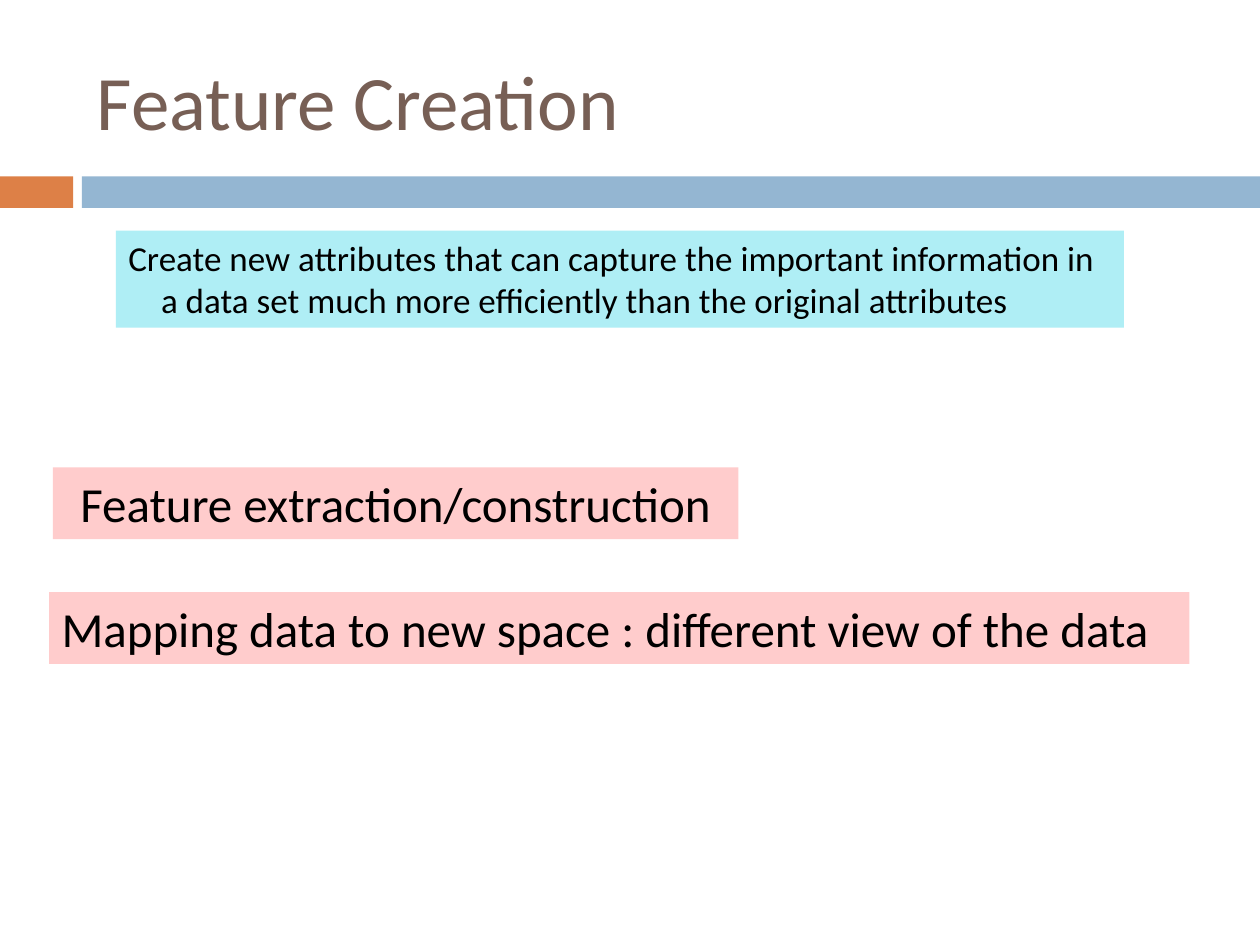
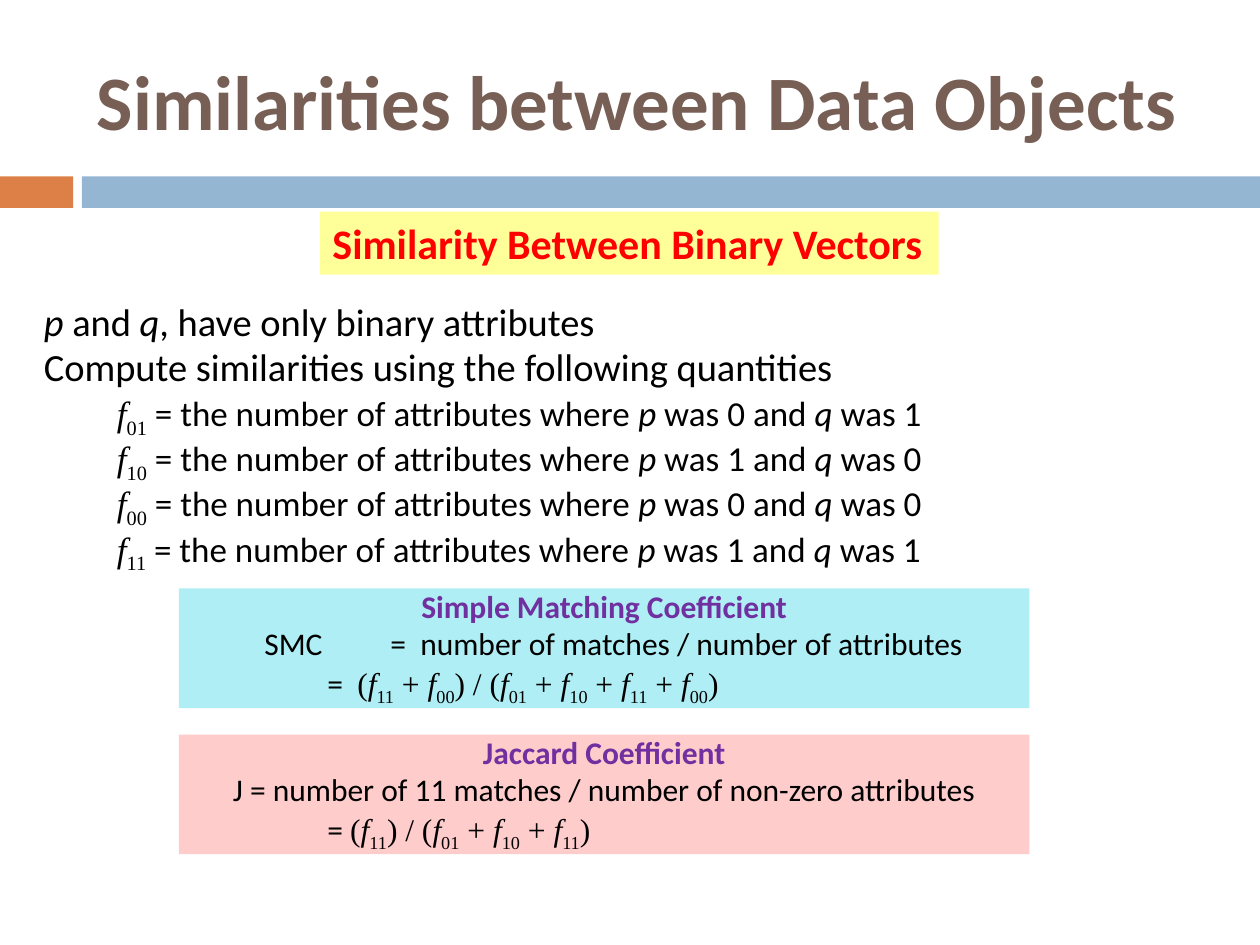
from itertools import groupby

from lxml.etree import SubElement
from pptx import Presentation
from pptx.dml.color import RGBColor
from pptx.enum.shapes import MSO_SHAPE
from pptx.enum.text import MSO_ANCHOR, PP_ALIGN
from pptx.oxml.ns import qn
from pptx.util import Inches, Pt

W, H = 10, 7.5
SANS, SERIF = "Calibri", "Times New Roman"
BLACK, BROWN, RED, PURPLE = "000000", "775F55", "FF0000", "7030A0"
ORANGE, BLUE = "DD8047", "94B6D2"
AQUA, PINK, YELLOW = "AFEEF5", "FFCCCC", "FFFF99"
BANDS = [(0, 0.58, ORANGE), (0.65, W - 0.65, BLUE)]
TABS = (1, 1.5)
HANG = 0.58

CREATION = [
    ((0.92, 1.83, 8, 0.77), AQUA,
     "Create new attributes that can capture the important information in "
     "a data set much more efficiently than the original attributes",
     dict(size=20, hang=0.26)),
    ((0.42, 3.71, 5.44, 0.57), PINK, "Feature extraction/construction",
     dict(size=28, align=PP_ALIGN.CENTER)),
    ((0.39, 4.7, 9.05, 0.57), PINK,
     "Mapping data to new space : different view of the data",
     dict(size=28, wrap=False)),
]

INTRO = ["*p* and *q*, have only binary attributes",
         "Compute similarities using the following quantities"]
COUNTS = [(0, 1), (1, 0), (0, 0), (1, 1)]
COUNT_LINE = "\t$*f*_{0}{1}_$ = the number of attributes where *p* was {0} and *q* was {1}"

COEFFICIENTS = [
    (AQUA, "Simple Matching Coefficient",
     "\tSMC \t=  number of matches / number of attributes", PP_ALIGN.LEFT,
     "\t\t=  $(*f*_11_ + *f*_00_) / (*f*_01_ + *f*_10_ + *f*_11_ + *f*_00_)$"),
    (PINK, "Jaccard Coefficient",
     "J = number of 11 matches / number of non-zero attributes", PP_ALIGN.CENTER,
     "\t\t= $(*f*_11_) / (*f*_01_ + *f*_10_ + *f*_11_)$"),
]


def rgb(color):
    return RGBColor.from_string(color)


def styled_pieces(text):
    """Split text into styled pieces: * is italic, _ is subscript, $ is serif."""
    state = {"*": False, "_": False, "$": False}
    chars = []
    for ch in text:
        if ch in state:
            state[ch] = not state[ch]
        else:
            chars.append((tuple(state.values()), ch))
    for style, group in groupby(chars, key=lambda item: item[0]):
        yield style, "".join(ch for _, ch in group)


def write(tf, text, size=20, color=BLACK, bold=False, align=PP_ALIGN.LEFT,
          hang=0, formula=False, wrap=True, anchor=MSO_ANCHOR.TOP):
    tf.word_wrap = wrap
    tf.vertical_anchor = anchor
    p = tf.paragraphs[0] if not tf.text else tf.add_paragraph()
    p.alignment = align
    if formula:
        hang = HANG
        p.line_spacing = 0.8
        p.space_before = Pt(size * 0.2)
    if hang:
        pPr = p._p.get_or_add_pPr()
        pPr.set("marL", str(Inches(hang)))
        pPr.set("indent", str(-Inches(hang)))
        if formula:
            tabs = SubElement(pPr, qn("a:tabLst"))
            for pos in TABS:
                SubElement(tabs, qn("a:tab"), pos=str(Inches(pos)), algn="l")
    for (italic, sub, serif), piece in styled_pieces(text):
        r = p.add_run()
        r.text = piece
        r.font.size, r.font.bold, r.font.italic = Pt(size), bold, italic
        r.font.name = SERIF if serif else SANS
        r.font.color.rgb = rgb(color)
        if sub:
            r._r.get_or_add_rPr().set("baseline", "-25000")


def add_box(s, at, fill):
    sp = s.shapes.add_shape(MSO_SHAPE.RECTANGLE, *map(Inches, at))
    sp.shadow.inherit = False
    sp.fill.solid()
    sp.fill.fore_color.rgb = rgb(fill)
    sp.line.fill.background()
    return sp.text_frame


def add_text(s, at):
    return s.shapes.add_textbox(*map(Inches, at)).text_frame


def add_slide(prs, title, bold=False):
    s = prs.slides.add_slide(prs.slide_layouts[6])
    for left, width, color in BANDS:
        add_box(s, (left, 1.4, width, 0.25), color)
    write(add_text(s, (0.67, 0.25, 8.92, 1.08)), title, size=44, color=BROWN,
          bold=bold, anchor=MSO_ANCHOR.MIDDLE)
    return s


def build_creation(prs):
    s = add_slide(prs, "Feature Creation")
    for at, fill, text, fmt in CREATION:
        write(add_box(s, at, fill), text, **fmt)


def build_similarities(prs):
    s = add_slide(prs, "Similarities between Data Objects", bold=True)
    tf = add_text(s, (0.25, 2.39, 9.5, 3.02))
    for line in INTRO:
        write(tf, line, size=22, formula=True)
    for pq in COUNTS:
        write(tf, COUNT_LINE.format(*pq), formula=True)
    write(add_box(s, (2.54, 1.68, 4.91, 0.5), YELLOW),
          "Similarity Between Binary Vectors", size=24, color=RED, bold=True, wrap=False)
    for i, (fill, name, words, align, formula) in enumerate(COEFFICIENTS):
        tf = add_box(s, (1.42, 4.67 + 1.16 * i, 6.75, 0.95), fill)
        write(tf, name, size=18, color=PURPLE, bold=True, align=PP_ALIGN.CENTER, formula=True)
        write(tf, words, size=18, align=align, formula=True)
        write(tf, formula, size=18, formula=True)


def main():
    prs = Presentation()
    prs.slide_width, prs.slide_height = Inches(W), Inches(H)
    build_creation(prs)
    build_similarities(prs)
    prs.save("out.pptx")


if __name__ == "__main__":
    main()
